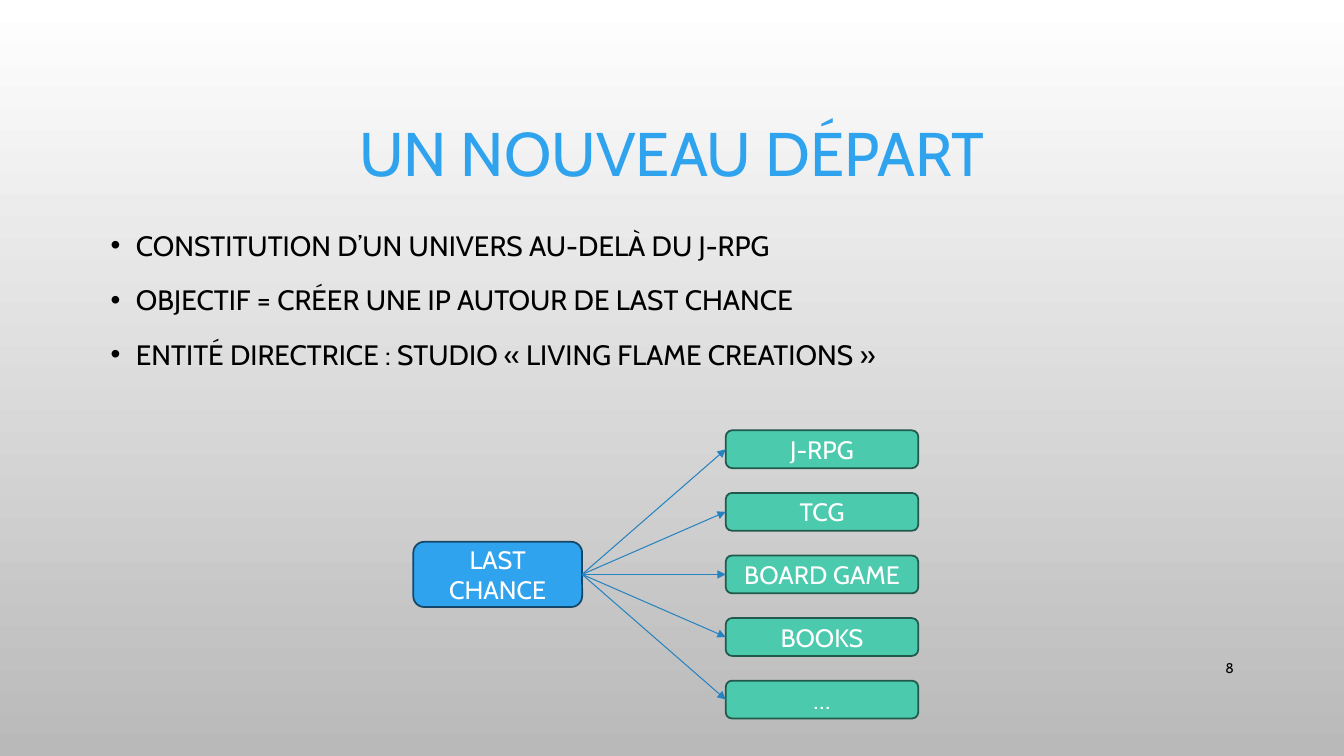
from lxml import etree
from pptx import Presentation
from pptx.dml.color import RGBColor
from pptx.enum.shapes import MSO_CONNECTOR, MSO_SHAPE
from pptx.enum.text import MSO_ANCHOR, PP_ALIGN
from pptx.oxml.ns import qn
from pptx.util import Pt

LEFT, CENTER, RIGHT = PP_ALIGN.LEFT, PP_ALIGN.CENTER, PP_ALIGN.RIGHT
MIDDLE = MSO_ANCHOR.MIDDLE
ROUNDED = MSO_SHAPE.ROUNDED_RECTANGLE
STRAIGHT = MSO_CONNECTOR.STRAIGHT
LEFT_SITE, RIGHT_SITE = 1, 3

COLORS = {
    "top": "FFFFFF",
    "bottom": "B9B9B9",
    "text": "000000",
    "light": "FFFFFF",
    "blue": "2FA3EE",
    "blue_edge": "154768",
    "green": "4BCAAD",
    "green_edge": "21594C",
    "arrow": "2683BF",
}

OBJECTIVES = [
    "CONSTITUTION D’UN UNIVERS AU-DELÀ DU J-RPG",
    "OBJECTIF = CRÉER UNE IP AUTOUR DE LAST CHANCE",
    "ENTITÉ DIRECTRICE : STUDIO « LIVING FLAME CREATIONS »",
]
PRODUCTS = ["J-RPG", "TCG", "BOARD GAME", "BOOKS", "…"]
PRODUCT_TOP, PRODUCT_PITCH = 307.4, 44.7


class SlideBuilder:
    def __init__(self, slide, font="Cabin"):
        self.slide = slide
        self.font = font

    def color(self, name):
        return RGBColor.from_string(COLORS[name])

    def background(self, top, bottom):
        fill = self.slide.background.fill
        fill.gradient()
        fill.gradient_angle = 270
        for stop, name in zip(fill.gradient_stops, (top, bottom)):
            stop.color.rgb = self.color(name)

    def add_text(self, paragraph, text, size, color, align):
        paragraph.alignment = align
        run = paragraph.add_run()
        run.text = text
        run.font.name = self.font
        run.font.size = Pt(size)
        run.font.color.rgb = self.color(color)

    def text_box(self, box, lines, size, color="text", align=LEFT, spacing=1.0):
        shape = self.slide.shapes.add_textbox(*map(Pt, box))
        frame = shape.text_frame
        frame.word_wrap = True
        frame.vertical_anchor = MIDDLE
        for index, line in enumerate(lines):
            paragraph = frame.add_paragraph() if index else frame.paragraphs[0]
            paragraph.line_spacing = spacing
            self.add_text(paragraph, line, size, color, align)
        return frame

    def bullet_list(self, box, lines, size, bottom_margin):
        frame = self.text_box(box, lines, size, spacing=1.2)
        frame.margin_bottom = Pt(bottom_margin)
        for paragraph in frame.paragraphs:
            paragraph.space_before = Pt(10)
            properties = paragraph._p.get_or_add_pPr()
            properties.set("marL", str(Pt(18)))
            properties.set("indent", str(Pt(-18)))
            bullet_font = etree.SubElement(properties, qn("a:buFont"))
            bullet_font.set("typeface", "Arial")
            etree.SubElement(properties, qn("a:buChar")).set("char", "•")

    def node(self, box, text, color):
        shape = self.slide.shapes.add_shape(ROUNDED, *map(Pt, box))
        shape.shadow.inherit = False
        shape.fill.solid()
        shape.fill.fore_color.rgb = self.color(color)
        shape.line.color.rgb = self.color(color + "_edge")
        shape.line.width = Pt(1.25)
        shape.text_frame.word_wrap = True
        shape.text_frame.vertical_anchor = MIDDLE
        self.add_text(shape.text_frame.paragraphs[0], text, 18, "light", CENTER)
        return shape

    def arrow(self, source, target):
        connector = self.slide.shapes.add_connector(STRAIGHT, 0, 0, 0, 0)
        connector.begin_connect(source, RIGHT_SITE)
        connector.end_connect(target, LEFT_SITE)
        connector.line.color.rgb = self.color("arrow")
        connector.line.width = Pt(0.75)
        properties = connector._element.spPr
        line = properties.find(qn("a:ln"))
        etree.SubElement(line, qn("a:tailEnd")).set("type", "triangle")
        etree.SubElement(properties, qn("a:effectLst"))


def main():
    presentation = Presentation()
    presentation.slide_width = Pt(960)
    presentation.slide_height = Pt(540)
    slide = presentation.slides.add_slide(presentation.slide_layouts[6])
    builder = SlideBuilder(slide)

    builder.background("top", "bottom")
    builder.text_box((72, 49, 816, 126), ["UN NOUVEAU DÉPART"], 44, "blue", CENTER, 0.9)
    builder.bullet_list((72, 96.5, 816, 269.3), OBJECTIVES, 20, bottom_margin=42.6)
    builder.text_box((828, 463, 60.5, 28.8), ["8"], 10, align=RIGHT)

    hub = builder.node((295.2, 387, 120.6, 46.6), "LAST CHANCE", "blue")
    products = [
        builder.node((518.4, PRODUCT_TOP + row * PRODUCT_PITCH, 137.5, 27), name, "green")
        for row, name in enumerate(PRODUCTS)
    ]
    for product in products:
        builder.arrow(hub, product)

    presentation.save("out.pptx")


if __name__ == "__main__":
    main()
